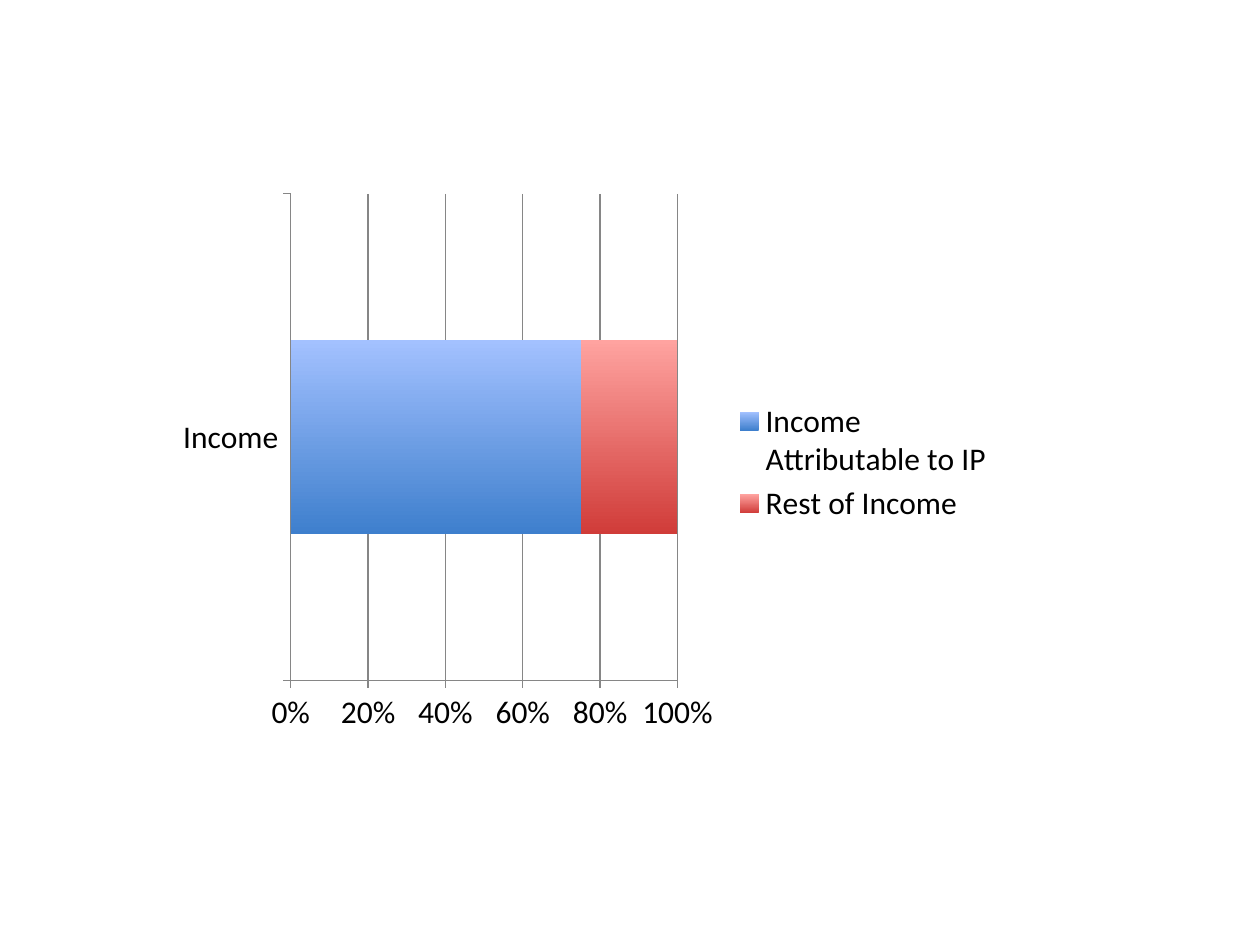
from pptx import Presentation
from pptx.chart.data import CategoryChartData
from pptx.dml.color import RGBColor
from pptx.enum.chart import XL_CHART_TYPE, XL_LEGEND_POSITION, XL_TICK_MARK
from pptx.util import Inches, Pt

STACKED_BAR = XL_CHART_TYPE.BAR_STACKED_100
LEGEND_RIGHT = XL_LEGEND_POSITION.RIGHT
TICK_OUTSIDE = XL_TICK_MARK.OUTSIDE
TICK_NONE = XL_TICK_MARK.NONE

COLORS = {
    "text": "000000",
    "axis": "868686",
    "blue dark": "3E7FCD",
    "blue light": "A3C1FF",
    "red dark": "D03C39",
    "red light": "FFA3A0",
}
SHARES = [
    ("Income Attributable to IP", 75, "blue"),
    ("Rest of Income", 25, "red"),
]
PAGE_WIDTH, PAGE_HEIGHT = Inches(10), Inches(7.5)
CHART_BOX = (Inches(1.32), Inches(1.45), Inches(6.67), Inches(4.44))


def color(name):
    return RGBColor.from_string(COLORS[name])


def style_line(line):
    line.color.rgb = color("axis")
    line.width = Pt(0.75)


def style_axis(axis):
    axis.major_tick_mark = TICK_OUTSIDE
    axis.minor_tick_mark = TICK_NONE
    style_line(axis.format.line)


def shade_series(series, hue):
    """Fill the bars from dark at the bottom to light at the top."""
    fill = series.format.fill
    fill.gradient()
    fill.gradient_angle = 90
    for stop, tone in zip(fill.gradient_stops, ("dark", "light")):
        stop.color.rgb = color(f"{hue} {tone}")


def add_income_chart(page, box):
    data = CategoryChartData(number_format="General")
    data.categories = ["Income"]
    for name, value, _ in SHARES:
        data.add_series(name, [value])
    chart = page.shapes.add_chart(STACKED_BAR, *box, data).chart

    chart.has_title = False
    chart.font.name = "Calibri"
    chart.font.size = Pt(18)
    chart.font.color.rgb = color("text")
    chart.has_legend = True
    chart.legend.position = LEGEND_RIGHT
    chart.legend.include_in_layout = False

    style_axis(chart.category_axis)
    value_axis = chart.value_axis
    style_axis(value_axis)
    value_axis.has_major_gridlines = True
    style_line(value_axis.major_gridlines.format.line)
    value_axis.tick_labels.number_format = "0%"
    value_axis.tick_labels.number_format_is_linked = False

    plot = chart.plots[0]
    plot.vary_by_categories = False
    plot.gap_width = 150
    plot.overlap = 100
    for series, (_, _, hue) in zip(plot.series, SHARES):
        shade_series(series, hue)


def main():
    deck = Presentation()
    deck.slide_width, deck.slide_height = PAGE_WIDTH, PAGE_HEIGHT
    page = deck.slides.add_slide(deck.slide_layouts[6])
    add_income_chart(page, CHART_BOX)
    deck.save("out.pptx")


if __name__ == "__main__":
    main()
